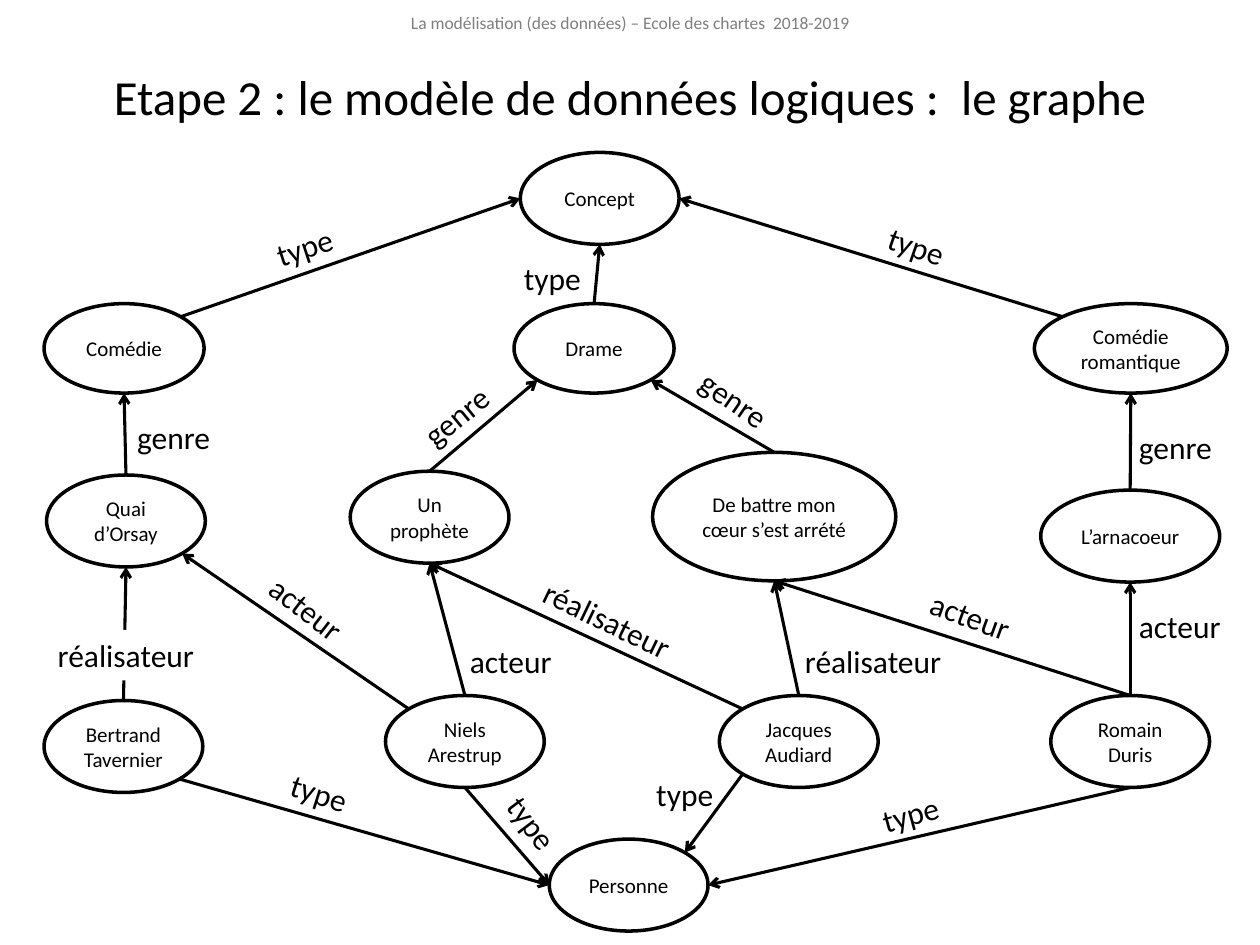
from math import cos, radians, sin

from lxml import etree
from pptx import Presentation
from pptx.dml.color import RGBColor
from pptx.enum.shapes import MSO_CONNECTOR, MSO_SHAPE
from pptx.enum.text import MSO_ANCHOR, PP_ALIGN
from pptx.oxml.ns import qn
from pptx.util import Inches, Pt

ELLIPSE = MSO_SHAPE.OVAL
STRAIGHT = MSO_CONNECTOR.STRAIGHT
LEFT, CENTER = PP_ALIGN.LEFT, PP_ALIGN.CENTER
TOP, MIDDLE = MSO_ANCHOR.TOP, MSO_ANCHOR.MIDDLE

COLORS = {"ink": "000000", "paper": "FFFFFF", "header": "7F7F7F"}
FONT = "Calibri"
WIDTH, HEIGHT = 10, 7.5
COLUMNS, ROWS = 100, 75

# Attachment points on an ellipse, as clockwise angles from the right
SITES = {"right": 0, "bottom right": 45, "bottom": 90, "bottom left": 135,
         "left": 180, "top left": 225, "top": 270, "top right": 315}

NODE_SIZE = (12.6, 7.3)
GENRE_SIZE = (12.7, 7.1)
GENRE_ROW, PEOPLE_ROW = 27.65, 58.85

# Key: text, centre column, centre row, size
NODES = {
    "concept": ("Concept", 47.6, 15.75, NODE_SIZE),
    "comedy": ("Comédie", 9.85, GENRE_ROW, GENRE_SIZE),
    "drama": ("Drame", 47.15, GENRE_ROW, GENRE_SIZE),
    "romance": ("Comédie\nromantique", 89.75, GENRE_ROW, (15.3, 7.1)),
    "quai": ("Quai d’Orsay", 10, 41.35, NODE_SIZE),
    "prophet": ("Un prophète", 34.1, 41.05, NODE_SIZE),
    "battre": ("De battre mon cœur s’est arrété", 61.45, 41, (19.3, 10.2)),
    "arnacoeur": ("L’arnacoeur", 89.7, 42.55, (14.2, 7.3)),
    "tavernier": ("Bertrand Tavernier", 9.8, 59.25, NODE_SIZE),
    "arestrup": ("Niels Arestrup", 36.9, PEOPLE_ROW, NODE_SIZE),
    "audiard": ("Jacques Audiard", 63.4, PEOPLE_ROW, NODE_SIZE),
    "duris": ("Romain Duris", 89.7, PEOPLE_ROW, NODE_SIZE),
    "person": ("Personne", 49.9, 70.25, NODE_SIZE),
}

# Start node and site, end node and site, label, label centre, rotation
LINKS = [
    ("comedy", "top right", "concept", "left", "type", (24.15, 19.6), -18.1),
    ("romance", "top left", "concept", "right", "type", (72.75, 19.5), 19.3),
    ("drama", "top", "concept", "bottom", "type", (43.85, 22.1), 0),
    ("quai", "top", "comedy", "bottom", "genre", (13.8, 34.7), 0),
    ("prophet", "top", "drama", "bottom left", "genre", (36.2, 33), -39.1),
    ("battre", "top", "drama", "bottom right", "genre", (58.3, 31.7), 34.5),
    ("arnacoeur", "top", "romance", "bottom", "genre", (93.3, 35.5), 0),
    ("tavernier", "top", "quai", "bottom", "réalisateur", (10.05, 52), 0),
    ("arestrup", "top left", "quai", "bottom right", "acteur", (24.35, 48.3), 37.6),
    ("arestrup", "top", "prophet", "bottom", "acteur", (40.55, 52.5), 0),
    ("audiard", "top left", "prophet", "bottom", "réalisateur", (48.25, 49.2), 25.7),
    ("audiard", "top", "battre", "bottom", "réalisateur", (69.35, 52.5), 0),
    ("duris", "top", "battre", "bottom", "acteur", (77.05, 48.9), 20),
    ("duris", "top", "arnacoeur", "bottom", "acteur", (93.65, 49.7), 0),
    ("tavernier", "bottom right", "person", "left", "type", (25.35, 62.9), 17.7),
    ("arestrup", "bottom", "person", "left", "type", (42.25, 65.3), 53),
    ("audiard", "bottom left", "person", "top right", "type", (54.35, 63), 0),
    ("duris", "bottom", "person", "right", "type", (72.25, 64.6), -15.3),
]
LABEL_WIDTHS = {"type": 6.5, "genre": 7.8, "acteur": 8.5, "réalisateur": 12.9}
LABEL_HEIGHT = 4


def column(count):
    return Inches(count * WIDTH / COLUMNS)


def row(count):
    return Inches(count * HEIGHT / ROWS)


def write_text(shape, text, size=18, color="ink", align=LEFT, anchor=TOP,
               wrap=True, top_margin=0.05):
    frame = shape.text_frame
    frame.word_wrap = wrap
    frame.vertical_anchor = anchor
    frame.margin_left = frame.margin_right = Inches(0.1)
    frame.margin_top, frame.margin_bottom = Inches(top_margin), Inches(0.05)
    frame.text = text
    for paragraph in frame.paragraphs:
        paragraph.alignment = align
        paragraph.font.name = FONT
        paragraph.font.size = Pt(size)
        paragraph.font.color.rgb = RGBColor.from_string(COLORS[color])


def site_position(node, site):
    _, x, y, (width, height) = NODES[node]
    angle = radians(SITES[site])
    # The top right of the Personne node takes its arrow from the right
    return x + width / 2 * cos(angle), y + height / 2 * sin(angle)


class GraphSlide:
    def __init__(self, presentation):
        self.slide = presentation.slides.add_slide(presentation.slide_layouts[6])
        self.ink = RGBColor.from_string(COLORS["ink"])
        self.paper = RGBColor.from_string(COLORS["paper"])

    def text(self, text, x, y, width, height, **style):
        box = self.slide.shapes.add_textbox(
            column(x), row(y), column(width), row(height))
        write_text(box, text, **style)
        return box

    def node(self, text, x, y, size):
        width, height = size
        shape = self.slide.shapes.add_shape(
            ELLIPSE, column(x - width / 2), row(y - height / 2),
            column(width), row(height))
        shape.shadow.inherit = False
        shape.fill.background()
        shape.line.color.rgb = self.ink
        shape.line.width = Pt(2)
        write_text(shape, text, size=12, align=CENTER, anchor=MIDDLE)

    def arrow(self, start, end):
        connector = self.slide.shapes.add_connector(
            STRAIGHT, column(start[0]), row(start[1]), column(end[0]), row(end[1]))
        connector.line.color.rgb = self.ink
        connector.line.width = Pt(1.75)
        line = connector.line._get_or_add_ln()
        etree.SubElement(line, qn("a:tailEnd"), type="arrow")
        etree.SubElement(connector._element.spPr, qn("a:effectLst"))

    def label(self, text, center, rotation, masked):
        width = LABEL_WIDTHS[text]
        box = self.text(text, center[0] - width / 2, center[1] - LABEL_HEIGHT / 2,
                        width, LABEL_HEIGHT, wrap=False)
        box.rotation = rotation
        if masked:
            box.fill.solid()
            box.fill.fore_color.rgb = self.paper


def main():
    presentation = Presentation()
    presentation.slide_width, presentation.slide_height = Inches(WIDTH), Inches(HEIGHT)
    graph = GraphSlide(presentation)

    # Header and title
    graph.text("La modélisation (des données) – Ecole des chartes  2018-2019",
               0, 0.5, 100, 2.7, size=10, color="header", align=CENTER)
    graph.text("Etape 2 : le modèle de données logiques :  le graphe",
               5, 4.6, 90, 7.7, size=28, align=CENTER, top_margin=0.07)

    # Nodes
    for node in NODES.values():
        graph.node(*node)

    # Arrows, then their labels on top
    for source, source_site, target, target_site, *_ in LINKS:
        graph.arrow(site_position(source, source_site),
                    site_position(target, target_site))
    for source, _, target, _, text, center, rotation in LINKS:
        graph.label(text, center, rotation,
                    masked=(source, target) == ("tavernier", "quai"))

    presentation.save("out.pptx")


if __name__ == "__main__":
    main()
